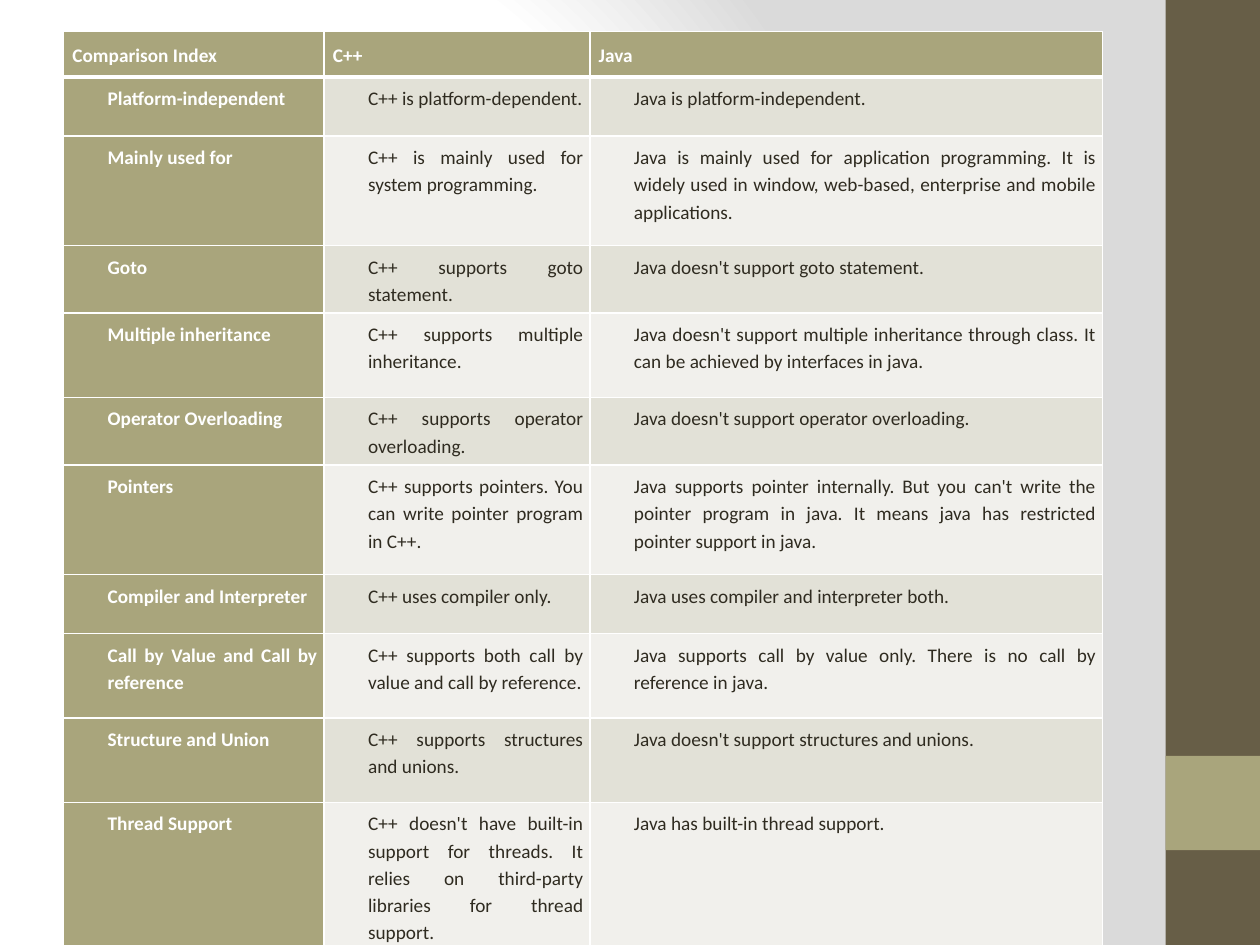
from pptx import Presentation, util as u
from pptx.dml.color import RGBColor
from pptx.enum import shapes, text
from pptx.oxml import parse_xml
from pptx.oxml.ns import nsdecls, qn

COLORS = {
    "white": "FFFFFF",
    "grey": "DADADA",
    "brown": "675E47",
    "olive": "A9A57C",
    "ink": "2F2B20",
    "odd": "E2E1D7",
    "even": "F1F0EC",
}
COLUMN_WIDTHS = [5.25, 5.36, 10.34]
HEADER = ("Comparison Index", "C++", "Java")
HEADER_HEIGHT = 0.76
# Row height in cm, followed by the three cell texts
COMPARISONS = [
    (1.19, "Platform-independent", "C++ is platform-dependent.",
     "Java is platform-independent."),
    (2.21, "Mainly used for", "C++ is mainly used for system programming.",
     "Java is mainly used for application programming. It is widely used in "
     "window, web-based, enterprise and mobile applications."),
    (1.19, "Goto", "C++ supports goto statement.",
     "Java doesn't support goto statement."),
    (1.7, "Multiple inheritance", "C++ supports multiple inheritance.",
     "Java doesn't support multiple inheritance through class. It can be "
     "achieved by interfaces in java."),
    (1.19, "Operator Overloading", "C++ supports operator overloading.",
     "Java doesn't support operator overloading."),
    (2.21, "Pointers",
     "C++ supports pointers. You can write pointer program in C++.",
     "Java supports pointer internally. But you can't write the pointer "
     "program in java. It means java has restricted pointer support in java."),
    (1.19, "Compiler and Interpreter", "C++ uses compiler only.",
     "Java uses compiler and interpreter both."),
    (1.7, "Call by Value and Call by reference",
     "C++ supports both call by value and call by reference.",
     "Java supports call by value only. There is no call by reference in java."),
    (1.7, "Structure and Union", "C++ supports structures and unions.",
     "Java doesn't support structures and unions."),
    (2.72, "Thread Support",
     "C++ doesn't have built-in support for threads. It relies on "
     "third-party libraries for thread support.",
     "Java has built-in thread support."),
]


def rgb(name):
    return RGBColor.from_string(COLORS[name])


class SlideBuilder:
    font = "Calibri"
    size = u.Pt(11)
    line_spacing = 1.15

    def __init__(self, slide):
        self.slide = slide

    def background(self, stops):
        """Fill the background with a circular gradient of (percent, colour) stops."""
        self.slide.background.fill.solid()
        plain = self.slide.element.find(".//" + qn("a:solidFill"))
        stop_xml = "".join(
            f'<a:gs pos="{percent * 1000}"><a:srgbClr val="{COLORS[color]}"/></a:gs>'
            for percent, color in stops)
        gradient = parse_xml(
            f'<a:gradFill {nsdecls("a")} rotWithShape="1"><a:gsLst>{stop_xml}</a:gsLst>'
            '<a:path path="circle">'
            '<a:fillToRect l="20000" t="50000" r="100000" b="50000"/>'
            '</a:path></a:gradFill>')
        plain.getparent().replace(plain, gradient)

    def block(self, left, top, width, height, color):
        block = self.slide.shapes.add_shape(
            shapes.MSO_SHAPE.RECTANGLE,
            u.Cm(left), u.Cm(top), u.Cm(width), u.Cm(height))
        block.shadow.inherit = False
        block.fill.solid()
        block.fill.fore_color.rgb = rgb(color)
        block.line.fill.background()

    def borders(self, cell, **widths):
        """Draw white cell borders, 1 pt unless a side is given another width."""
        properties = cell._tc.get_or_add_tcPr()
        for side in "LRTB":
            width = u.Pt(widths.get(side, 1))
            properties.append(parse_xml(
                f'<a:ln{side} {nsdecls("a")} w="{width}"><a:solidFill>'
                f'<a:srgbClr val="{COLORS["white"]}"/></a:solidFill></a:ln{side}>'))

    def cell(self, cell, words, fill, color, bold, inset, indent=0, **widths):
        self.borders(cell, **widths)
        cell.fill.solid()
        cell.fill.fore_color.rgb = rgb(fill)
        cell.margin_left = cell.margin_right = u.Cm(inset)
        cell.margin_top = cell.margin_bottom = u.Cm(inset)
        cell.text_frame.text = words
        paragraph = cell.text_frame.paragraphs[0]
        paragraph.alignment = text.PP_ALIGN.JUSTIFY
        paragraph.line_spacing = self.line_spacing
        properties = paragraph._p.get_or_add_pPr()
        properties.set("marL", str(u.Cm(indent)))
        properties.set("indent", "0")
        font = paragraph.runs[0].font
        font.name, font.size, font.bold = self.font, self.size, bold
        font.color.rgb = rgb(color)

    def comparison_table(self, left, top):
        heights = [HEADER_HEIGHT] + [height for height, *_ in COMPARISONS]
        table = self.slide.shapes.add_table(
            len(heights), len(HEADER), u.Cm(left), u.Cm(top),
            u.Cm(sum(COLUMN_WIDTHS)), u.Cm(sum(heights))).table
        for column, width in zip(table.columns, COLUMN_WIDTHS):
            column.width = u.Cm(width)
        for row, height in zip(table.rows, heights):
            row.height = u.Cm(height)

        for c, heading in enumerate(HEADER):
            self.cell(table.cell(0, c), heading, "olive", "white", True, 0.18, B=3)
        for r, (_, *texts) in enumerate(COMPARISONS, start=1):
            band = "odd" if r % 2 else "even"
            top_width = 3 if r == 1 else 1
            for c, words in enumerate(texts):
                fill, color = (band, "ink") if c else ("olive", "white")
                self.cell(table.cell(r, c), words, fill, color, c == 0,
                          0.13, indent=0.76, T=top_width)


def main():
    deck = Presentation()
    deck.slide_width, deck.slide_height = u.Cm(25.4), u.Cm(19.05)
    blank = deck.slide_layouts[6]
    builder = SlideBuilder(deck.slides.add_slide(blank))
    builder.background([(0, "white"), (75, "white"), (100, "grey")])
    builder.block(23.5, 0, 1.9, 19.05, "brown")
    builder.block(23.5, 15.24, 1.9, 1.9, "olive")
    builder.comparison_table(1.28, 0.64)
    deck.save("out.pptx")


if __name__ == "__main__":
    main()
